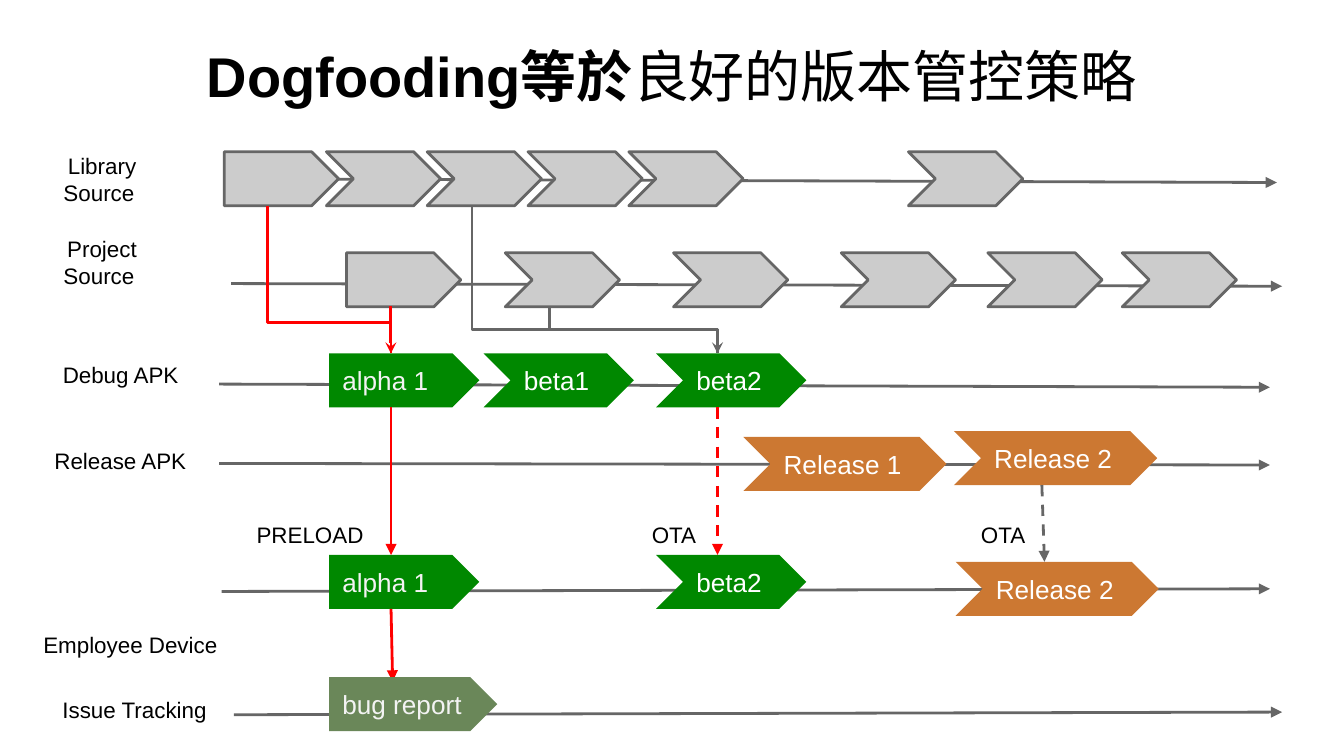
from lxml import etree
from pptx import Presentation
from pptx.dml.color import RGBColor
from pptx.enum.dml import MSO_LINE
from pptx.enum.shapes import MSO_CONNECTOR, MSO_SHAPE
from pptx.enum.text import MSO_ANCHOR, PP_ALIGN
from pptx.oxml.ns import qn
from pptx.util import Cm, Pt

START, STEP = MSO_SHAPE.PENTAGON, MSO_SHAPE.CHEVRON
STRAIGHT, ELBOW = MSO_CONNECTOR.STRAIGHT, MSO_CONNECTOR.ELBOW
DASH = MSO_LINE.DASH
TOP, MIDDLE, BOTTOM = MSO_ANCHOR.TOP, MSO_ANCHOR.MIDDLE, MSO_ANCHOR.BOTTOM
LEFT, CENTER = PP_ALIGN.LEFT, PP_ALIGN.CENTER

BLACK = RGBColor(0x00, 0x00, 0x00)
WHITE = RGBColor(0xFF, 0xFF, 0xFF)
OFF_WHITE = RGBColor(0xF3, 0xF3, 0xF3)
GREY = RGBColor(0x66, 0x66, 0x66)
SILVER = RGBColor(0xCC, 0xCC, 0xCC)
RED = RGBColor(0xFF, 0x00, 0x00)
GREEN = RGBColor(0x00, 0x88, 0x00)
ORANGE = RGBColor(0xCC, 0x78, 0x32)
OLIVE = RGBColor(0x6A, 0x87, 0x59)

FONT = "Arial"
STAGE_HEIGHT = 1.02
COMMIT_WIDTH, BUILD_WIDTH, RELEASE_WIDTH, REPORT_WIDTH = 2.16, 2.84, 3.84, 3.18
LIBRARY_Y, PROJECT_Y, DEBUG_Y, DEVICE_Y = 2.87, 4.78, 6.68, 10.49
ALPHA_X, BETA2_X = 6.22, 12.4
ALPHA_FLOW_X, BETA2_FLOW_X = 7.39, 13.56

LANES = [
    (4.24, 3.38, 24.13, 3.45),
    (4.37, 5.36, 24.23, 5.41),
    (4.14, 7.26, 24, 7.32),
    (4.14, 8.76, 24, 8.79),
    (4.19, 11.18, 24, 11.13),
    (4.42, 13.51, 24.23, 13.46),
]
LIBRARY_COMMITS = [4.24] + [6.17 + 1.905 * i for i in range(4)] + [17.17]
PROJECT_COMMITS = [6.55, 9.55, 12.73, 15.9, 18.67, 21.21]
BUILDS = [
    ("alpha 1", START, ALPHA_X, DEBUG_Y),
    ("beta1", STEP, 9.14, DEBUG_Y),
    ("beta2", STEP, BETA2_X, DEBUG_Y),
    ("alpha 1", START, ALPHA_X, DEVICE_Y),
    ("beta2", STEP, BETA2_X, DEVICE_Y),
]
RELEASES = [
    ("Release 1", 14.05, 8.26),
    ("Release 2", 18.03, 8.15),
    ("Release 2", 18.06, 10.62),
]
LANE_LABELS = [
    ("Library\nSource ", 0.51, 2.62, 2.84, 1.27),
    ("Project\nSource ", 0.51, 4.19, 2.84, 1.57),
    ("Debug APK ", 0.51, 6.58, 3.66, 0.86),
    ("Release APK ", 0.58, 8.2, 3.51, 0.86),
    ("Employee Device ", 0.2, 11.68, 4.65, 0.86),
    ("Issue Tracking", 0.79, 12.9, 3.51, 0.86),
]
DELIVERY_LABELS = [("PRELOAD", 4.6, 2.67), ("OTA", 12.07, 1.55), ("OTA", 18.29, 1.55)]
MERGES = [
    (5.05, 3.89, ALPHA_FLOW_X, RED, 0.79, None),
    (ALPHA_FLOW_X, 5.79, ALPHA_FLOW_X, RED, 0.5, "stealth"),
    (8.92, 3.89, BETA2_FLOW_X, GREY, 0.84, "stealth"),
    (10.39, 5.79, BETA2_FLOW_X, GREY, 0.5, None),
]
DELIVERIES = [
    (BETA2_FLOW_X, 7.7, BETA2_FLOW_X, DEVICE_Y, RED, DASH),
    (ALPHA_FLOW_X, 7.7, ALPHA_FLOW_X, DEVICE_Y, RED, None),
    (ALPHA_FLOW_X, 11.51, 7.42, 12.88, RED, None),
    (19.69, 9.17, 19.74, 10.62, GREY, DASH),
]


def set_frame(frame, anchor):
    """Wrap the text frame, anchor it and give it even margins."""
    frame.word_wrap = True
    frame.vertical_anchor = anchor
    frame.margin_left = frame.margin_right = Cm(0.25)
    frame.margin_top = frame.margin_bottom = Cm(0.25)


def set_text(frame, text, size, color, align):
    """Write the lines of text as paragraphs in one style."""
    for index, line in enumerate(text.split("\n")):
        paragraph = frame.add_paragraph() if index else frame.paragraphs[0]
        paragraph.text = line
        paragraph.alignment = align
        paragraph.font.name = FONT
        paragraph.font.size = Pt(size)
        paragraph.font.color.rgb = color


def add_title(slide):
    """Add the heading with its bold opening."""
    box = slide.shapes.add_textbox(Cm(1.27), Cm(0.58), Cm(22.86), Cm(1.73))
    set_frame(box.text_frame, BOTTOM)
    paragraph = box.text_frame.paragraphs[0]
    paragraph.alignment = CENTER
    paragraph.font.name = FONT
    paragraph.font.size = Pt(30)
    paragraph.font.color.rgb = BLACK
    for text, bold in (("Dogfooding等於", True), ("良好的版本管控策略", False)):
        run = paragraph.add_run()
        run.text = text
        run.font.bold = bold


def add_label(slide, text, x, y, width, height, align):
    """Add a plain black label."""
    label = slide.shapes.add_textbox(Cm(x), Cm(y), Cm(width), Cm(height))
    set_frame(label.text_frame, TOP)
    set_text(label.text_frame, text, 12, BLACK, align)


def add_stage(slide, kind, x, y, width, fill, text=""):
    """Add a timeline stage; a stage without text gets an outline."""
    stage = slide.shapes.add_shape(kind, Cm(x), Cm(y), Cm(width), Cm(STAGE_HEIGHT))
    stage.shadow.inherit = False
    stage.fill.solid()
    stage.fill.fore_color.rgb = fill
    if text:
        stage.line.fill.background()
        set_frame(stage.text_frame, MIDDLE)
        set_text(stage.text_frame, text, 14, OFF_WHITE if kind == START else WHITE, LEFT)
    else:
        stage.line.color.rgb = GREY
        stage.line.width = Pt(1.5)


def add_line(slide, kind, x1, y1, x2, y2, color, head="triangle", dash=None):
    """Add a connector with an optional arrowhead and return it."""
    line = slide.shapes.add_connector(kind, Cm(x1), Cm(y1), Cm(x2), Cm(y2))
    line.line.color.rgb = color
    line.line.width = Pt(1.5)
    if dash:
        line.line.dash_style = dash
    properties = line._element.spPr
    if head:
        etree.SubElement(properties.find(qn("a:ln")), qn("a:tailEnd"), type=head)
    etree.SubElement(properties, qn("a:effectLst"))
    return line


def add_merge(slide, x1, y1, x2, color, bend, head):
    """Add an elbow that drops to the debug lane, turning at the bend ratio."""
    drop, shift = DEBUG_Y - y1, x2 - x1
    left = (x1 + x2 - drop) / 2
    top = (y1 + DEBUG_Y - shift) / 2
    merge = add_line(slide, ELBOW, left, top, left + drop, top + shift, color, head)
    properties = merge._element.spPr
    frame = properties.find(qn("a:xfrm"))
    frame.set("rot", "16200000")
    frame.set("flipH", "1")
    adjustments = properties.find(qn("a:prstGeom")).find(qn("a:avLst"))
    etree.SubElement(adjustments, qn("a:gd"), name="adj1", fmla=f"val {round(bend * 100000)}")


def main():
    """Build the release timeline slide."""
    deck = Presentation()
    deck.slide_width, deck.slide_height = Cm(25.4), Cm(14.29)
    slide = deck.slides.add_slide(deck.slide_layouts[6])
    add_title(slide)
    for lane in LANES:
        add_line(slide, STRAIGHT, *lane, GREY)
    for y, commits in ((LIBRARY_Y, LIBRARY_COMMITS), (PROJECT_Y, PROJECT_COMMITS)):
        for index, x in enumerate(commits):
            add_stage(slide, STEP if index else START, x, y, COMMIT_WIDTH, SILVER)
    for text, kind, x, y in BUILDS:
        add_stage(slide, kind, x, y, BUILD_WIDTH, GREEN, text)
    for text, x, y in RELEASES:
        add_stage(slide, STEP, x, y, RELEASE_WIDTH, ORANGE, text)
    for merge in MERGES:
        add_merge(slide, *merge)
    for x1, y1, x2, y2, color, dash in DELIVERIES:
        add_line(slide, STRAIGHT, x1, y1, x2, y2, color, dash=dash)
    add_stage(slide, START, ALPHA_X, 12.8, REPORT_WIDTH, OLIVE, "bug report")
    for label in LANE_LABELS:
        add_label(slide, *label, CENTER)
    for text, x, width in DELIVERY_LABELS:
        add_label(slide, text, x, 9.6, width, 0.71, LEFT)
    deck.save("out.pptx")


if __name__ == "__main__":
    main()
